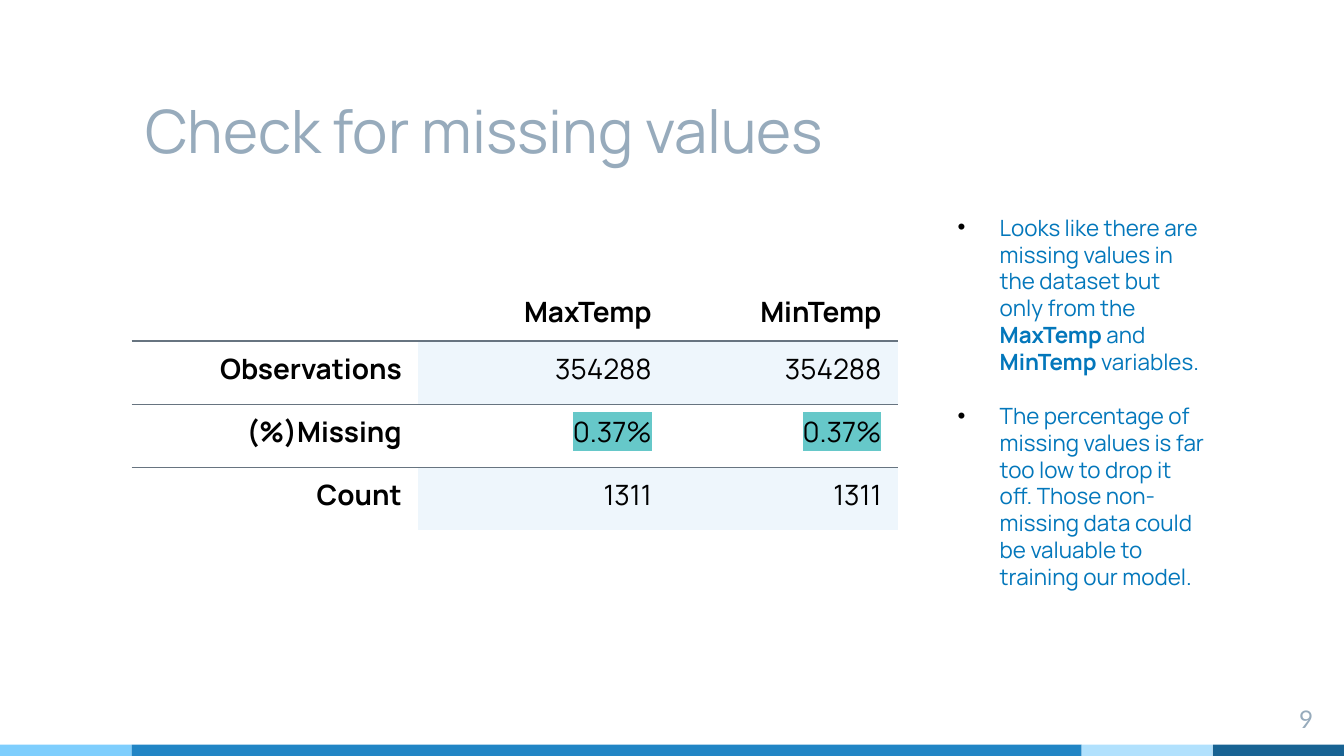
from pptx import Presentation
from pptx.dml.color import RGBColor
from pptx.enum.shapes import MSO_SHAPE
from pptx.enum.text import MSO_ANCHOR, MSO_AUTO_SIZE, PP_ALIGN
from pptx.oxml import parse_xml
from pptx.oxml.ns import nsdecls, qn
from pptx.util import Pt

BLACK = RGBColor(0x00, 0x00, 0x00)
GREY = RGBColor(0x97, 0xAB, 0xBC)
SLATE = RGBColor(0x67, 0x74, 0x80)
BLUE = RGBColor(0x03, 0x77, 0xBB)
PALE = RGBColor(0xEE, 0xF6, 0xFC)
TEAL = RGBColor(0x66, 0xC8, 0xC9)
SKY = RGBColor(0x7E, 0xCE, 0xFD)
MID = RGBColor(0x21, 0x85, 0xC5)
LIGHT = RGBColor(0xB1, 0xE1, 0xFD)
DEEP = RGBColor(0x18, 0x63, 0x93)

NO_STYLE = "{2D5ABB26-0587-4C30-8999-92F81FD0307C}"
BARS = [(70.5, SKY), (509, MID), (70.25, LIGHT), (70.25, DEEP)]
ROWS = [
    ("", "MaxTemp", "MinTemp"),
    ("Observations", "354288", "354288"),
    ("(%)Missing", "0.37%", "0.37%"),
    ("Count", "1311", "1311"),
]
NOTES = [
    [
        ("Looks like there are missing values in the dataset but only from the ", False),
        ("MaxTemp", True),
        (" and ", False),
        ("MinTemp", True),
        (" variables.", False),
    ],
    [
        (
            "The percentage of missing values is far too low to drop it off. "
            "Those non-missing data could be valuable to training our model.",
            False,
        ),
    ],
]


def write(para, text, size=12, color=BLACK, font="Manrope", bold=False,
          align=PP_ALIGN.LEFT, mark=None):
    para.alignment = align
    run = para.add_run()
    run.text = text
    run.font.size = Pt(size)
    run.font.name = font
    run.font.bold = bold
    run.font.color.rgb = color
    if mark is not None:
        props = run.font.fill and run._r.get_or_add_rPr()
        props.find(qn("a:solidFill")).addnext(parse_xml(
            f'<a:highlight {nsdecls("a")}><a:srgbClr val="{mark}"/></a:highlight>'))


class Page:
    def __init__(self, deck):
        self.slide = deck.slides.add_slide(deck.slide_layouts[5])
        self.shapes = self.slide.shapes

    def bar(self, left, top, width, height, color):
        shape = self.shapes.add_shape(
            MSO_SHAPE.RECTANGLE, Pt(left), Pt(top), Pt(width), Pt(height))
        shape.shadow.inherit = False
        shape.fill.solid()
        shape.fill.fore_color.rgb = color
        shape.line.fill.background()

    def title(self, text, left, top, width, height):
        shape = self.shapes.title
        shape.left, shape.top = Pt(left), Pt(top)
        shape.width, shape.height = Pt(width), Pt(height)
        frame = shape.text_frame
        frame.auto_size = MSO_AUTO_SIZE.NONE
        frame.vertical_anchor = MSO_ANCHOR.BOTTOM
        frame.margin_top = frame.margin_bottom = Pt(7.2)
        write(frame.paragraphs[0], text, size=32, color=GREY)

    def box(self, left, top, width, height):
        frame = self.shapes.add_textbox(
            Pt(left), Pt(top), Pt(width), Pt(height)).text_frame
        frame.word_wrap = True
        return frame

    def number(self, text, left, top, width, height):
        frame = self.box(left, top, width, height)
        frame.margin_top = frame.margin_bottom = Pt(7.2)
        write(frame.paragraphs[0], text, size=13, color=GREY, font="Lato",
              align=PP_ALIGN.RIGHT)

    def bullets(self, items, left, top, width, height):
        frame = self.box(left, top, width, height)
        for i, parts in enumerate(items):
            para = frame.add_paragraph() if i else frame.paragraphs[0]
            if i:
                para.space_before = Pt(14.4)
            for text, bold in parts:
                write(para, text, color=BLUE, bold=bold)
            props = para._p.get_or_add_pPr()
            props.set("marL", str(Pt(22.5)))
            props.set("indent", str(-Pt(22.5)))
            for xml in (
                f'<a:buClr {nsdecls("a")}><a:srgbClr val="{BLACK}"/></a:buClr>',
                f'<a:buFont {nsdecls("a")} typeface="Arial"/>',
                f'<a:buChar {nsdecls("a")} char="•"/>',
            ):
                props.append(parse_xml(xml))

    def edge(self, cell, sides):
        props = cell._tc.get_or_add_tcPr()
        for i, side in enumerate(sides):
            props.insert(i, parse_xml(
                f'<a:ln{side} {nsdecls("a")} w="{Pt(1)}"><a:solidFill>'
                f'<a:srgbClr val="{SLATE}"/></a:solidFill></a:ln{side}>'))

    def table(self, rows, left, top, widths, heights):
        table = self.shapes.add_table(
            len(rows), len(widths), Pt(left), Pt(top),
            Pt(sum(widths)), Pt(sum(heights))).table
        table.first_row = table.horz_banding = False
        table._tbl.tblPr.find(qn("a:tableStyleId")).text = NO_STYLE
        for col, width in zip(table.columns, widths):
            col.width = Pt(width)
        for r, row in enumerate(rows):
            table.rows[r].height = Pt(heights[r])
            for c, text in enumerate(row):
                cell = table.cell(r, c)
                cell.margin_left = cell.margin_right = Pt(8.64)
                cell.margin_top = cell.margin_bottom = Pt(4.32)
                if r % 2 and c:
                    cell.fill.solid()
                    cell.fill.fore_color.rgb = PALE
                else:
                    cell.fill.background()
                write(cell.text_frame.paragraphs[0], text, size=15,
                      bold=r == 0 or c == 0, align=PP_ALIGN.RIGHT,
                      mark=TEAL if "%" in text and c else None)
                self.edge(cell, ("T" if r else "") + ("B" if r < len(rows) - 1 else ""))


def main():
    deck = Presentation()
    deck.slide_width, deck.slide_height = Pt(720), Pt(405)
    page = Page(deck)
    left = 0
    for width, color in BARS:
        page.bar(left, 399, width, 6, color)
        left += width
    page.title("Check for missing values", 70.5, 28, 509, 67.75)
    page.number("9", 667.5, 370, 43, 24.5)
    page.bullets(NOTES, 506, 111, 147, 211)
    page.table(ROWS, 70.5, 152.6, [153.4, 133.9, 123.1], [26.3] + [33.8] * 3)
    deck.save("out.pptx")


if __name__ == "__main__":
    main()
